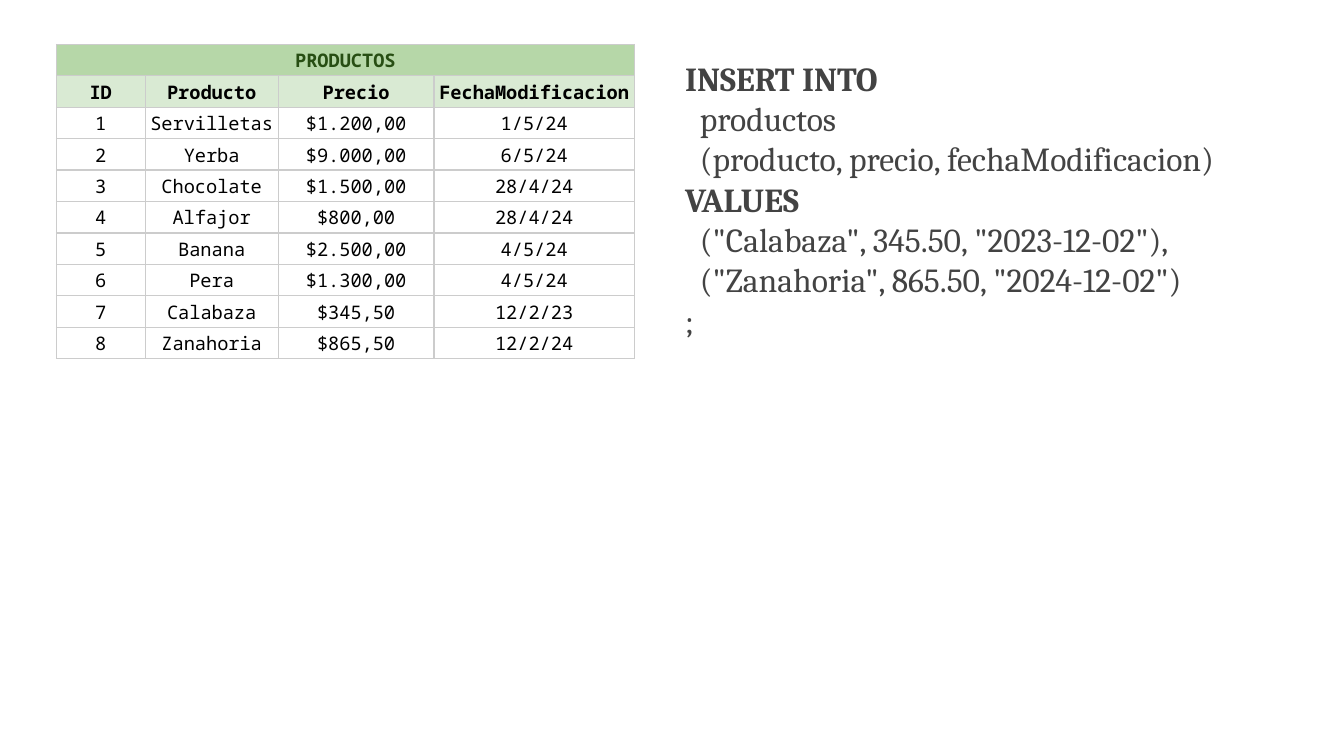
from lxml.etree import SubElement
from pptx import Presentation
from pptx.dml.color import RGBColor
from pptx.enum.text import MSO_ANCHOR as Anchor, MSO_AUTO_SIZE as AutoSize, PP_ALIGN as Align
from pptx.oxml.ns import qn
from pptx.util import Inches, Pt

COLUMN_WIDTHS = [0.66, 0.99, 1.16, 1.49]
ROW_HEIGHT = 0.22
HEADERS = ["ID", "Producto", "Precio", "FechaModificacion"]
PRODUCTS = [
    ("Servilletas", "$1.200,00", "1/5/24"),
    ("Yerba", "$9.000,00", "6/5/24"),
    ("Chocolate", "$1.500,00", "28/4/24"),
    ("Alfajor", "$800,00", "28/4/24"),
    ("Banana", "$2.500,00", "4/5/24"),
    ("Pera", "$1.300,00", "4/5/24"),
    ("Calabaza", "$345,50", "12/2/23"),
    ("Zanahoria", "$865,50", "12/2/24"),
]
QUERY = [
    ("INSERT INTO", True, 0),
    ("productos", False, 0.11),
    ("(producto, precio, fechaModificacion)", False, 0.11),
    ("VALUES", True, 0),
    ('("Calabaza", 345.50, "2023-12-02"),', False, 0.11),
    ('("Zanahoria", 865.50, "2024-12-02")', False, 0.11),
    (";", False, 0),
]


def color(value):
    return RGBColor.from_string(value)


def write(paragraph, text, *, font, size, fill, bold=False, align=Align.LEFT, spacing=1.0, indent=0):
    paragraph.alignment = align
    paragraph.line_spacing = spacing
    if indent:
        properties = paragraph._p.get_or_add_pPr()
        properties.set("marL", str(Inches(indent)))
        properties.set("indent", "0")
    run = paragraph.add_run()
    run.text = text
    run.font.name = font
    run.font.size = Pt(size)
    run.font.bold = bold
    run.font.color.rgb = color(fill)


def add_borders(cell, line_color, width):
    properties = cell._tc.get_or_add_tcPr()
    for side in ("a:lnL", "a:lnR", "a:lnT", "a:lnB"):
        line = SubElement(properties, qn(side), w=str(Pt(width)))
        solid = SubElement(line, qn("a:solidFill"))
        SubElement(solid, qn("a:srgbClr"), val=line_color)


def format_cell(cell, background):
    add_borders(cell, "CCCCCC", 0.75)
    if background:
        cell.fill.solid()
        cell.fill.fore_color.rgb = color(background)
    else:
        cell.fill.background()
    cell.vertical_anchor = Anchor.BOTTOM
    cell.margin_left = cell.margin_right = Inches(0.03)
    cell.margin_top = cell.margin_bottom = Inches(0.02)


def add_product_table(slide, left, top):
    title_row = ["PRODUCTOS", "", "", ""]
    product_rows = [[str(number), *product] for number, product in enumerate(PRODUCTS, 1)]
    rows = [title_row, HEADERS, *product_rows]
    table = slide.shapes.add_table(
        len(rows), len(HEADERS), Inches(left), Inches(top),
        Inches(sum(COLUMN_WIDTHS)), Inches(ROW_HEIGHT * len(rows)),
    ).table
    table.first_row = table.horz_banding = False
    for column, width in zip(table.columns, COLUMN_WIDTHS):
        column.width = Inches(width)
    for row in table.rows:
        row.height = Inches(ROW_HEIGHT)
    table.cell(0, 0).merge(table.cell(0, len(HEADERS) - 1))

    backgrounds = {0: "B6D7A8", 1: "D9EAD3"}
    for row_index, values in enumerate(rows):
        for column_index, text in enumerate(values):
            cell = table.cell(row_index, column_index)
            format_cell(cell, backgrounds.get(row_index))
            if text:
                write(cell.text_frame.paragraphs[0], text, font="Noto Sans Mono", size=10,
                      fill="000000" if row_index else "274E13", bold=row_index < 2,
                      align=Align.CENTER, spacing=1.03)


def add_query(slide, left, top, width, height):
    frame = slide.shapes.add_textbox(
        Inches(left), Inches(top), Inches(width), Inches(height)).text_frame
    frame.word_wrap = True
    frame.auto_size = AutoSize.SHAPE_TO_FIT_TEXT
    frame.margin_left = frame.margin_right = Inches(0.1)
    frame.margin_top = frame.margin_bottom = Inches(0.1)
    for index, (text, bold, indent) in enumerate(QUERY):
        paragraph = frame.add_paragraph() if index else frame.paragraphs[0]
        write(paragraph, text, font="Cambria", size=18, fill="434343", bold=bold, indent=indent)


def main():
    presentation = Presentation()
    presentation.slide_width = Inches(10)
    presentation.slide_height = presentation.slide_width * 9 // 16
    slide = presentation.slides.add_slide(presentation.slide_layouts[6])
    add_product_table(slide, 0.42, 0.33)
    add_query(slide, 5, 0.33, 5.13, 2.63)
    presentation.save("out.pptx")


if __name__ == "__main__":
    main()
